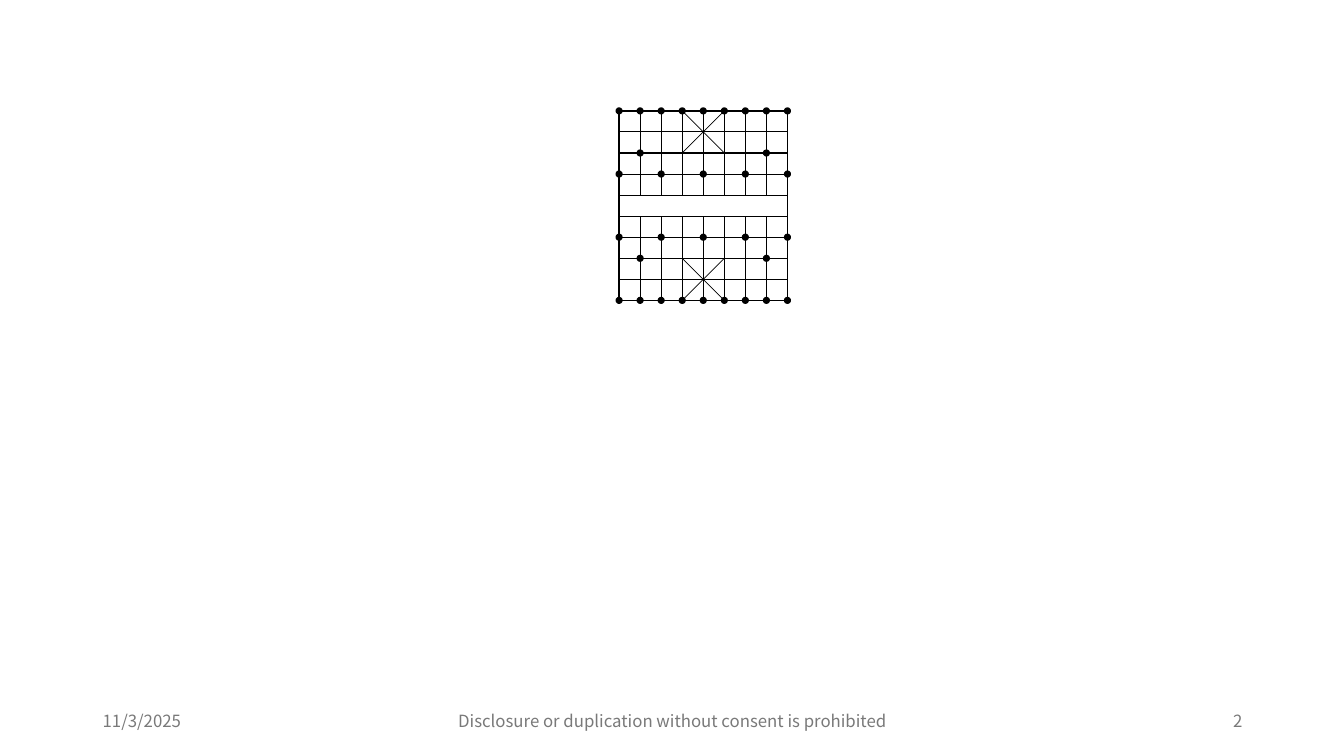
from dataclasses import dataclass

from lxml import etree
from pptx import Presentation
from pptx.dml.color import RGBColor
from pptx.enum.shapes import MSO_CONNECTOR, MSO_SHAPE
from pptx.enum.text import MSO_ANCHOR, PP_ALIGN
from pptx.oxml.ns import qn
from pptx.util import Inches, Pt

LINE = MSO_CONNECTOR.STRAIGHT
OVAL = MSO_SHAPE.OVAL
MIDDLE = MSO_ANCHOR.MIDDLE
LEFT, CENTER, RIGHT = PP_ALIGN.LEFT, PP_ALIGN.CENTER, PP_ALIGN.RIGHT


@dataclass(frozen=True)
class Theme:
    font: str = "Noto Sans CJK SC"
    ink: RGBColor = RGBColor(0, 0, 0)
    paper: RGBColor = RGBColor(255, 255, 255)
    gray: RGBColor = RGBColor(0x79, 0x79, 0x79)
    small: float = 12
    edge: float = 1
    grid: float = 0.75
    cross: float = 0.5
    ring: float = 1.5


THEME = Theme()
COLS, ROWS = 8, 9  # cells across and down
BANK = 4  # last grid row above the river
DOT = 0.05


def add_line(slide, start, end, width):
    ends = [Inches(v) for v in (*start, *end)]
    line = slide.shapes.add_connector(LINE, *ends)
    line.line.color.rgb = THEME.ink
    line.line.width = Pt(width)
    etree.SubElement(line._element.spPr, qn("a:effectLst"))


def add_dot(slide, center):
    x, y = (Inches(v - DOT / 2) for v in center)
    dot = slide.shapes.add_shape(OVAL, x, y, Inches(DOT), Inches(DOT))
    dot.shadow.inherit = False
    dot.fill.solid()
    dot.fill.fore_color.rgb = THEME.ink
    dot.line.color.rgb = THEME.ink
    dot.line.width = Pt(THEME.ring)


def add_label(slide, box, text, align):
    label = slide.shapes.add_textbox(*[Inches(v) for v in box])
    frame = label.text_frame
    frame.word_wrap = True
    frame.vertical_anchor = MIDDLE
    frame.text = text
    para = frame.paragraphs[0]
    para.alignment = align
    font = para.runs[0].font
    font.name = THEME.font
    font.size = Pt(THEME.small)
    font.color.rgb = THEME.gray


def add_board(slide, box):
    left, top, width, height = box

    def point(col, row):
        return left + width * col / COLS, top + height * row / ROWS

    # Rows and the two full sides
    for row in range(ROWS + 1):
        weight = THEME.edge if row in (0, ROWS) else THEME.grid
        add_line(slide, point(0, row), point(COLS, row), weight)
    for col in (0, COLS):
        add_line(slide, point(col, 0), point(col, ROWS), THEME.edge)

    # Inner columns stop at the river; each half has a palace
    for first, last, palace in ((0, BANK, 0), (BANK + 1, ROWS, ROWS - 2)):
        for col in range(1, COLS):
            add_line(slide, point(col, first), point(col, last), THEME.grid)
        for start, end in ((3, 5), (5, 3)):
            add_line(slide, point(start, palace), point(end, palace + 2),
                     THEME.cross)

    # Starting places, mirrored across the river
    places = {0: range(COLS + 1), 2: (1, COLS - 1), 3: range(0, COLS + 1, 2)}
    for depth, cols in places.items():
        for row in (depth, ROWS - depth):
            for col in cols:
                add_dot(slide, point(col, row))


def add_footer(slide, box):
    left, top, width, height = box
    side, mid = 3, 4.5
    notice = "Disclosure or duplication without consent is prohibited"
    add_label(slide, (left, top, side, height), "11/3/2025", LEFT)
    add_label(slide, (left + (width - mid) / 2, top, mid, height),
              notice, CENTER)
    add_label(slide, (left + width - side, top, side, height), "2", RIGHT)


def main():
    deck = Presentation()
    deck.slide_width, deck.slide_height = Inches(13.33), Inches(7.5)
    slide = deck.slides.add_slide(deck.slide_layouts[6])
    slide.background.fill.solid()
    slide.background.fill.fore_color.rgb = THEME.paper
    add_footer(slide, (0.92, 6.95, 11.5, 0.4))
    add_board(slide, (6.14, 1.1, 1.67, 1.88))
    deck.save("out.pptx")


if __name__ == "__main__":
    main()
